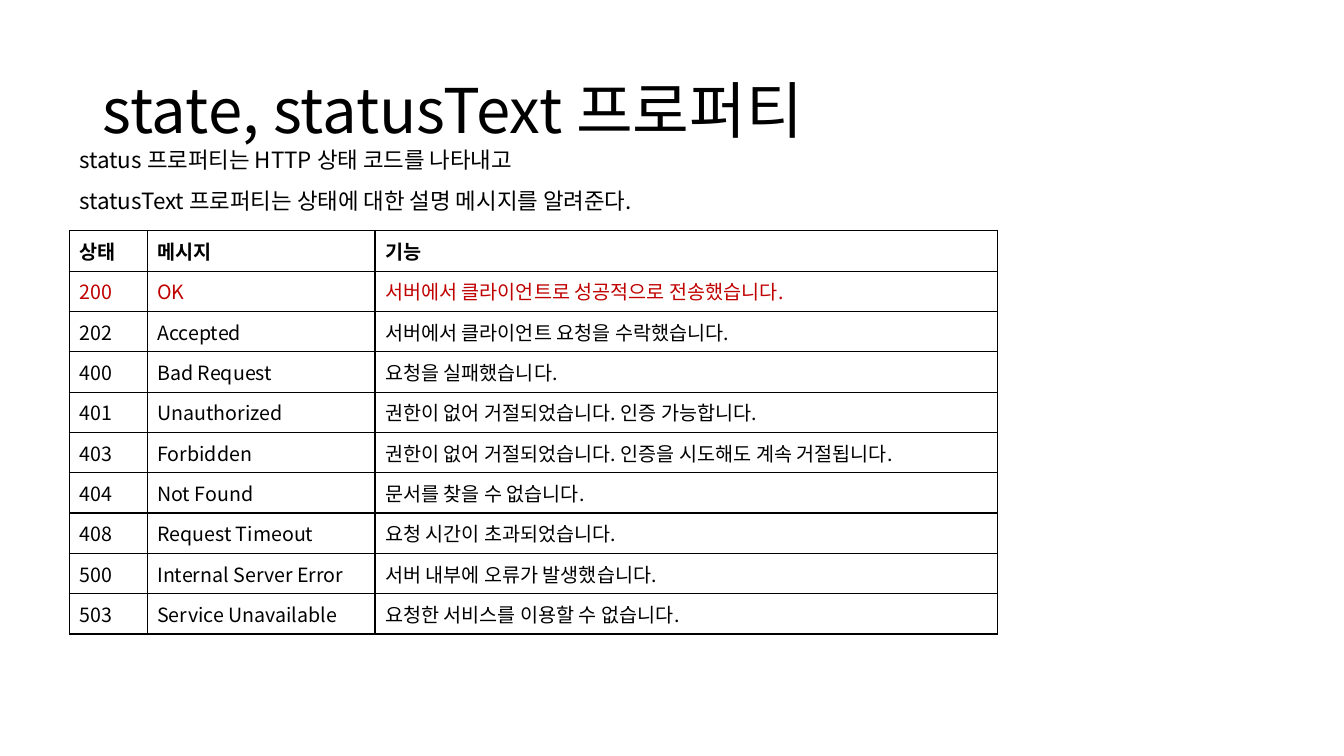
from lxml import etree
from pptx import Presentation
from pptx.dml.color import RGBColor
from pptx.enum.text import MSO_ANCHOR, MSO_AUTO_SIZE
from pptx.oxml.ns import qn
from pptx.util import Pt

PX = 9144  # 100 px to the inch
FONT = "Noto Sans CJK KR"
COLORS = {"ink": "000000", "highlight": "C00000"}
MIDDLE, TOP = MSO_ANCHOR.MIDDLE, MSO_ANCHOR.TOP
GROW = MSO_AUTO_SIZE.SHAPE_TO_FIT_TEXT

COLUMN_WIDTHS = [77, 226, 617]
ROW_HEIGHT = 40
HEADER = ("상태", "메시지", "기능")
SUCCESS_CODE = "200"
STATUSES = [
    ("200", "OK", "서버에서 클라이언트로 성공적으로 전송했습니다."),
    ("202", "Accepted", "서버에서 클라이언트 요청을 수락했습니다."),
    ("400", "Bad Request", "요청을 실패했습니다."),
    ("401", "Unauthorized", "권한이 없어 거절되었습니다. 인증 가능합니다."),
    ("403", "Forbidden", "권한이 없어 거절되었습니다. 인증을 시도해도 계속 거절됩니다."),
    ("404", "Not Found", "문서를 찾을 수 없습니다."),
    ("408", "Request Timeout", "요청 시간이 초과되었습니다."),
    ("500", "Internal Server Error", "서버 내부에 오류가 발생했습니다."),
    ("503", "Service Unavailable", "요청한 서비스를 이용할 수 없습니다."),
]


def write(frame, text, size, color="ink", bold=False, line_spacing=None):
    """Fill a text frame, one paragraph for each line of text."""
    for index, line in enumerate(text.split("\n")):
        paragraph = frame.add_paragraph() if index else frame.paragraphs[0]
        if line_spacing:
            paragraph.line_spacing = line_spacing
        run = paragraph.add_run()
        run.text = line
        run.font.name = FONT
        run.font.size = Pt(size)
        run.font.bold = bold
        run.font.color.rgb = RGBColor.from_string(COLORS[color])
        etree.SubElement(run.font._element, qn("a:ea"), typeface=FONT)


def add_text(slide, box, text, anchor=TOP, auto_size=None, **text_format):
    frame = slide.shapes.add_textbox(*(n * PX for n in box)).text_frame
    frame.word_wrap = True
    frame.vertical_anchor = anchor
    if auto_size is not None:
        frame.auto_size = auto_size
    write(frame, text, **text_format)


def outline_cell(cell):
    properties = cell._tc.get_or_add_tcPr()
    for position, side in enumerate(("a:lnL", "a:lnR", "a:lnT", "a:lnB")):
        border = etree.Element(qn(side), w=str(Pt(1)))
        fill = etree.SubElement(border, qn("a:solidFill"))
        etree.SubElement(fill, qn("a:srgbClr"), val=COLORS["ink"])
        properties.insert(position, border)


def add_status_table(slide, left, top):
    rows = [HEADER, *STATUSES]
    table = slide.shapes.add_table(
        len(rows), len(HEADER), left * PX, top * PX,
        sum(COLUMN_WIDTHS) * PX, len(rows) * ROW_HEIGHT * PX).table
    table.horz_banding = False
    for column, width in zip(table.columns, COLUMN_WIDTHS):
        column.width = width * PX
    for row, values in zip(table.rows, rows):
        row.height = ROW_HEIGHT * PX
        color = "highlight" if values[0] == SUCCESS_CODE else "ink"
        for cell, value in zip(row.cells, values):
            cell.fill.background()
            cell.vertical_anchor = MIDDLE
            outline_cell(cell)
            write(cell.text_frame, value, size=14, color=color,
                  bold=values is HEADER)


def main():
    presentation = Presentation()
    presentation.slide_width = 1333 * PX
    presentation.slide_height = 750 * PX
    slide = presentation.slides.add_slide(presentation.slide_layouts[6])
    add_text(slide, (92, 40, 1150, 145), "state, statusText 프로퍼티",
             anchor=MIDDLE, size=44, line_spacing=0.9)
    add_text(slide, (69, 127, 1169, 86),
             "status 프로퍼티는 HTTP 상태 코드를 나타내고\n"
             "statusText 프로퍼티는 상태에 대한 설명 메시지를 알려준다.",
             auto_size=GROW, size=16, line_spacing=1.5)
    add_status_table(slide, 69, 229)
    presentation.save("out.pptx")


if __name__ == "__main__":
    main()
